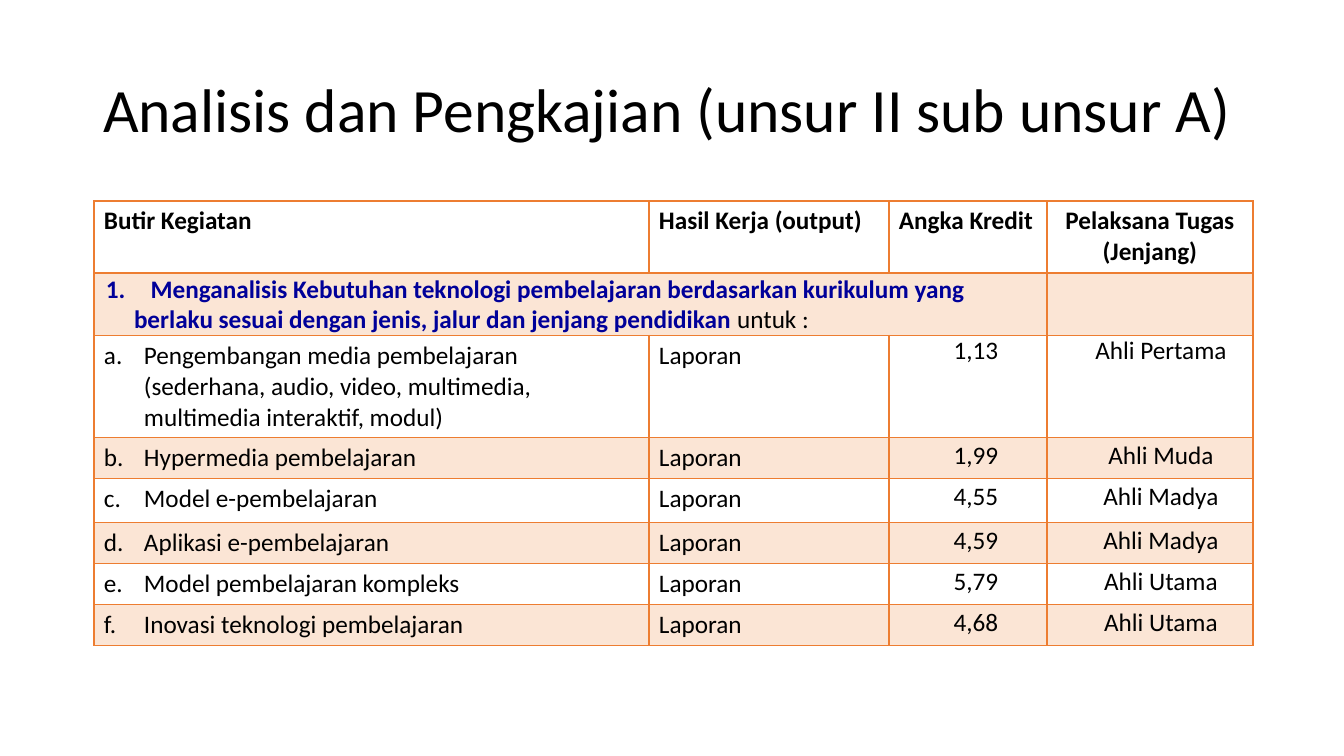
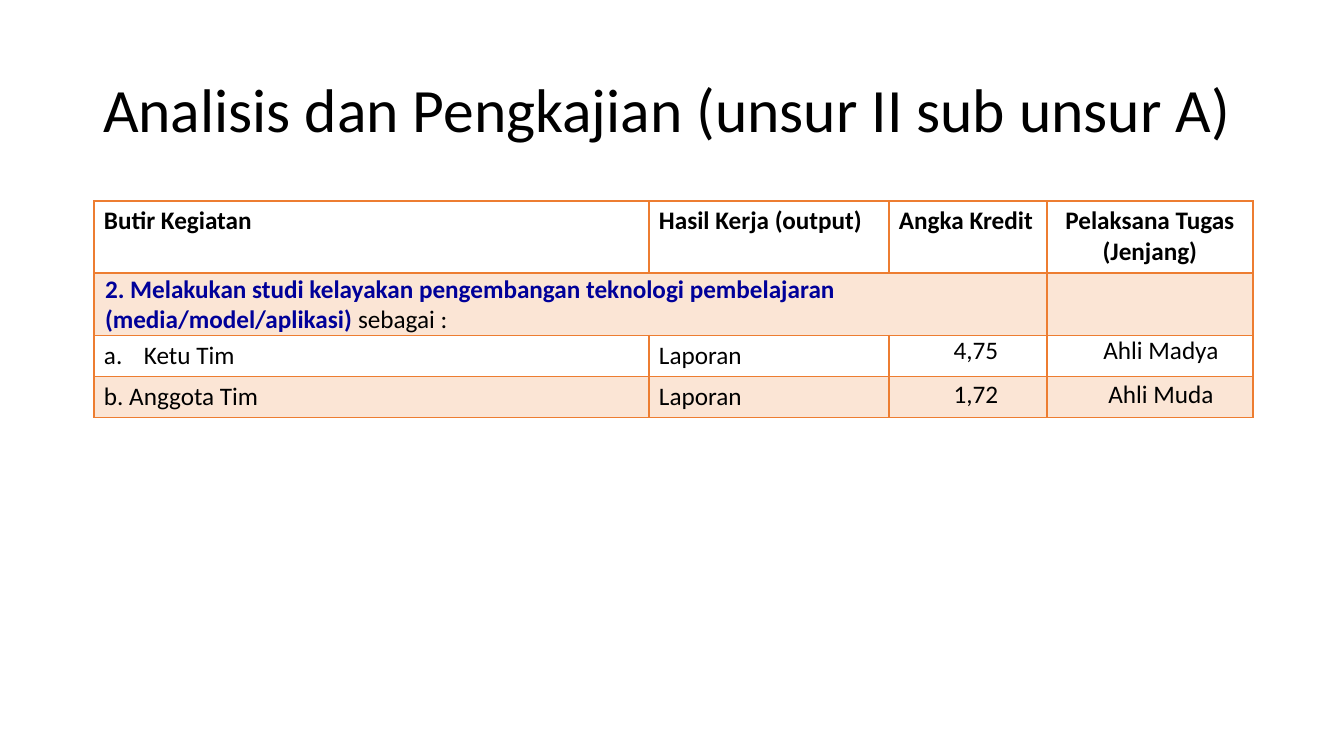
from lxml.etree import SubElement
from pptx import Presentation
from pptx.dml.color import RGBColor
from pptx.enum.text import MSO_ANCHOR, PP_ALIGN
from pptx.oxml.ns import qn
from pptx.util import Emu, Pt

PIXEL = 914400 / 100.8
COLORS = {"text": "000000", "heading": "000099", "accent": "ED7D31"}
FONT = "Calibri"
TITLE = "Analisis dan Pengkajian (unsur II sub unsur A)"
HEADERS = ["Butir Kegiatan", "Hasil Kerja (output)", "Angka Kredit", "Pelaksana Tugas (Jenjang)"]
COLUMN_WIDTHS = [555, 240, 158, 206]
HEADER_HEIGHT, HEADING_HEIGHT = 72, 62
CELL_MARGINS = (10, 5, 10, 5)
HEADING_MARGINS = (1, 1, 20, 0)
CREDIT_INDENT, LEVEL_INDENT = 16, 22
ITEM_INDENT = 40

SECTIONS = [
    {
        "heading": "1.\u2003Menganalisis Kebutuhan teknologi pembelajaran berdasarkan kurikulum yang "
                   "berlaku sesuai dengan jenis, jalur dan jenjang pendidikan ",
        "ending": "untuk :",
        "indent": (39, -28),
        "items": [
            ("a.\tPengembangan media pembelajaran (sederhana, audio, video, multimedia, "
             "multimedia interaktif, modul)", "1,13", "Ahli Pertama", 102),
            ("b.\tHypermedia pembelajaran", "1,99", "Ahli Muda", 41),
            ("c.\tModel e-pembelajaran", "4,55", "Ahli Madya", 44),
            ("d.\tAplikasi e-pembelajaran", "4,59", "Ahli Madya", 41),
            ("e.\tModel pembelajaran kompleks", "5,79", "Ahli Utama", 41),
            ("f.\tInovasi teknologi pembelajaran", "4,68", "Ahli Utama", 41),
        ],
    },
    {
        "heading": "2. Melakukan studi kelayakan pengembangan teknologi pembelajaran "
                   "(media/model/aplikasi) ",
        "ending": "sebagai :",
        "indent": (10, 0),
        "items": [
            ("a.\tKetu Tim", "4,75", "Ahli Madya", 41),
            ("b. Anggota Tim", "1,72", "Ahli Muda", 41),
        ],
    },
]


def px(length):
    return Emu(round(length * PIXEL))


def color(name):
    return RGBColor.from_string(COLORS[name])


def style_font(font, size, bold=False, color_name="text"):
    font.name = FONT
    font.size = Pt(size)
    font.bold = bold
    font.color.rgb = color(color_name)


def set_indent(paragraph, left, first_line):
    properties = paragraph._p.get_or_add_pPr()
    properties.set("marL", str(px(left)))
    properties.set("indent", str(px(first_line)))


def add_title(slide):
    title = slide.shapes.title
    title.left, title.top, title.width, title.height = map(px, (93, 40, 1159, 146))
    frame = title.text_frame
    frame.word_wrap = True
    frame.vertical_anchor = MSO_ANCHOR.MIDDLE
    frame.text = TITLE
    paragraph = frame.paragraphs[0]
    paragraph.alignment = PP_ALIGN.LEFT
    paragraph.line_spacing = 0.9
    style_font(paragraph.font, 44)


def draw_borders(cell, widths):
    properties = cell._tc.get_or_add_tcPr()
    for side, width in zip("LRTB", widths):
        line = SubElement(properties, qn(f"a:ln{side}"), w=str(Pt(width)))
        fill = SubElement(line, qn("a:solidFill"))
        SubElement(fill, qn("a:srgbClr"), val=COLORS["accent"])


def tint(cell):
    cell.fill.solid()
    cell.fill.fore_color.rgb = color("accent")
    accent = cell._tc.tcPr.find(f"{qn('a:solidFill')}/{qn('a:srgbClr')}")
    SubElement(accent, qn("a:alpha"), val="20000")


def format_grid(table):
    for row_index, row in enumerate(table.rows):
        bottom = 2 if row_index == 0 else 1
        top = 2 if row_index == 1 else 1
        for cell in row.cells:
            draw_borders(cell, (1, 1, top, bottom))
            if row_index % 2:
                tint(cell)
            else:
                cell.fill.background()


def set_margins(cell, margins):
    cell.margin_left, cell.margin_top, cell.margin_right, cell.margin_bottom = map(px, margins)


def write_cell(cell, text, margins=CELL_MARGINS, alignment=PP_ALIGN.LEFT, bold=False):
    set_margins(cell, margins)
    cell.text = text
    paragraph = cell.text_frame.paragraphs[0]
    paragraph.alignment = alignment
    style_font(paragraph.font, 18, bold)
    return paragraph


def write_headers(table):
    for column, header in enumerate(HEADERS):
        alignment = PP_ALIGN.CENTER if column == 3 else PP_ALIGN.LEFT
        write_cell(table.cell(0, column), header, alignment=alignment, bold=True)


def write_heading(table, section):
    cell = table.cell(1, 0)
    cell.merge(table.cell(1, 2))
    cell.vertical_anchor = MSO_ANCHOR.MIDDLE
    set_margins(cell, HEADING_MARGINS)
    paragraph = cell.text_frame.paragraphs[0]
    set_indent(paragraph, *section["indent"])
    for text, bold, color_name in ((section["heading"], True, "heading"),
                                   (section["ending"], False, "text")):
        run = paragraph.add_run()
        run.text = text
        style_font(run.font, 18, bold, color_name)


def write_item(table, row, item):
    activity, credit, level, _ = item
    paragraph = write_cell(table.cell(row, 0), activity)
    if "\t" in activity:
        set_indent(paragraph, ITEM_INDENT, -ITEM_INDENT)
    write_cell(table.cell(row, 1), "Laporan")
    top = 0 if row == 2 else 3
    for column, text, left in ((2, credit, CREDIT_INDENT), (3, level, LEVEL_INDENT)):
        write_cell(table.cell(row, column), text, (left, top, 0, 0), PP_ALIGN.CENTER)


def add_activity_table(slide, section):
    items = section["items"]
    heights = [HEADER_HEIGHT, HEADING_HEIGHT] + [item[3] for item in items]
    frame = slide.shapes.add_table(len(heights), len(HEADERS), px(94), px(201),
                                   px(sum(COLUMN_WIDTHS)), px(sum(heights)))
    table = frame.table
    table.first_row = False
    table.horz_banding = False
    for column, width in zip(table.columns, COLUMN_WIDTHS):
        column.width = px(width)
    for row, height in zip(table.rows, heights):
        row.height = px(height)
    format_grid(table)
    write_headers(table)
    write_heading(table, section)
    for row, item in enumerate(items, start=2):
        write_item(table, row, item)


def main():
    presentation = Presentation()
    presentation.slide_width, presentation.slide_height = px(1344), px(756)
    title_only = presentation.slide_layouts[5]
    for section in SECTIONS:
        slide = presentation.slides.add_slide(title_only)
        add_title(slide)
        add_activity_table(slide, section)
    presentation.save("out.pptx")


main()
